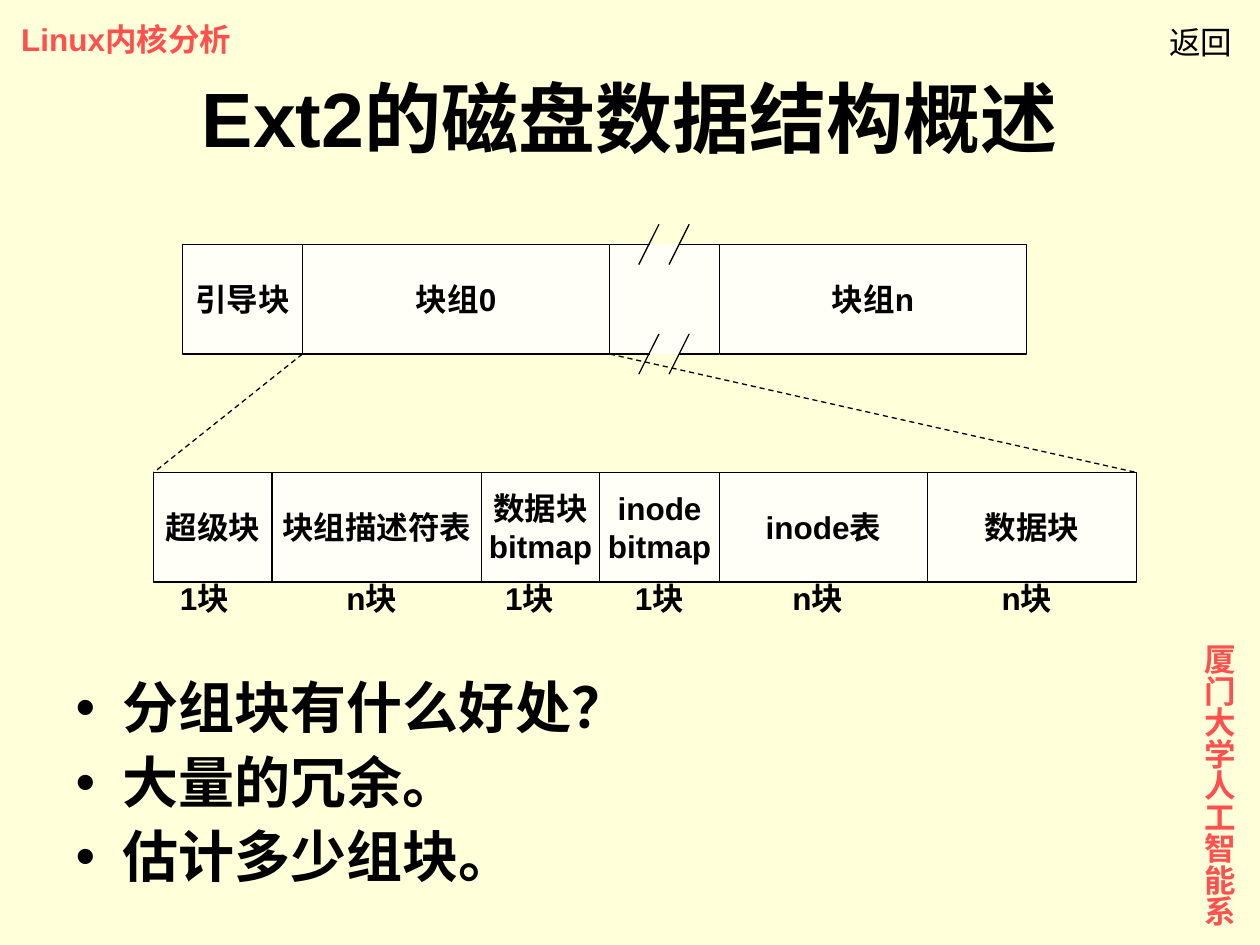
from itertools import pairwise, product

from pptx import Presentation
from pptx.dml.color import RGBColor as RGB
from pptx.enum.dml import MSO_LINE as Dash
from pptx.enum.shapes import MSO_CONNECTOR as Conn, MSO_SHAPE as Geo
from pptx.enum.text import MSO_ANCHOR as Anchor, MSO_AUTO_SIZE as Auto, PP_ALIGN as Align
from pptx.oxml.ns import qn
from pptx.util import Inches, Pt

HUES = {"back": "FFFFD9", "block": "FFFFF7", "ink": "000000", "brand": "FF5050"}

# Disk row and the detail row of block group 0: edges, top and shared height
DISK_X = [1.45, 2.4, 4.84, 5.71, 8.15]
DISK = ["引导块", "块组0", None, "块组n"]
PART_X = [1.22, 2.16, 3.82, 4.76, 5.71, 7.36, 9.02]
PARTS = ["超级块", "块组描述符表", "数据块\nbitmap", "inode\nbitmap", "inode表", "数据块"]
SIZES = [(1.33, "1块"), (2.65, "n块"), (3.91, "1块"),
         (4.94, "1块"), (6.19, "n块"), (7.85, "n块")]
DISK_Y, PART_Y, TALL = 1.94, 3.75, 0.87
BASE_Y = DISK_Y + TALL


def hue(name):
    return RGB.from_string(HUES[name])


def style(frame, size, color="ink", bold=True, face="Arial", align=None):
    for para in frame.paragraphs:
        para.alignment = align
        font = para.font
        font.size, font.bold, font.name = Pt(size), bold, face
        font.color.rgb = hue(color)


def place(shape, x, y, w, h):
    shape.left, shape.top = Inches(x), Inches(y)
    shape.width, shape.height = Inches(w), Inches(h)


def add_note(shapes, text, x, y, w, h=0.4, **look):
    box = shapes.add_textbox(Inches(x), Inches(y), Inches(w), Inches(h))
    frame = box.text_frame
    frame.text = text
    frame.word_wrap = False
    frame.auto_size = Auto.SHAPE_TO_FIT_TEXT
    style(frame, 18, **look)
    return frame


def add_block(shapes, text, x, y, w):
    box = shapes.add_shape(Geo.RECTANGLE, Inches(x), Inches(y), Inches(w), Inches(TALL))
    box.shadow.inherit = False
    box.fill.solid()
    box.fill.fore_color.rgb = hue("block")
    if text is None:
        box.line.fill.background()
        return
    box.line.color.rgb = hue("ink")
    box.line.width = Pt(0.75)
    frame = box.text_frame
    frame.text = text
    frame.word_wrap = False
    frame.vertical_anchor = Anchor.MIDDLE
    style(frame, 18, align=Align.CENTER)


def add_row(shapes, texts, edges, y):
    cells = list(zip(texts, pairwise(edges)))
    # The unlabelled gap goes behind its neighbours
    for text, (left, right) in sorted(cells, key=lambda cell: cell[0] is not None):
        add_block(shapes, text, left, y, right - left)


def add_line(shapes, x1, y1, x2, y2, dash=None):
    line = shapes.add_connector(Conn.STRAIGHT, Inches(x1), Inches(y1), Inches(x2), Inches(y2))
    line.line.color.rgb = hue("ink")
    line.line.width = Pt(0.75)
    if dash:
        line.line.dash_style = dash
    props = line._element.spPr
    props.append(props.makeelement(qn("a:effectLst"), {}))


def add_break(shapes):
    # Stubs of the border, then the slashes that cut it
    for y, (x1, x2) in product((DISK_Y, BASE_Y), ((4.84, 5.16), (5.39, 5.71))):
        add_line(shapes, x1, y, x2, y)
    for y, x in product((DISK_Y, BASE_Y), (5.15, 5.39)):
        add_line(shapes, x + 0.08, y - 0.16, x - 0.08, y + 0.16)


def main():
    deck = Presentation()
    deck.slide_width, deck.slide_height = Inches(10), Inches(7.5)
    slide = deck.slides.add_slide(deck.slide_layouts[1])
    slide.background.fill.solid()
    slide.background.fill.fore_color.rgb = hue("back")
    shapes = slide.shapes

    # Running heads
    add_note(shapes, "Linux内核分析", 0.07, 0.11, 1.92, color="brand")
    side = add_note(shapes, "厦门大学人工智能系", 9.38, 5.01, 0.5, 2.35, color="brand")
    side.margin_left = side.margin_right = Inches(0.05)
    side.margin_top = side.margin_bottom = Inches(0.1)
    side._txBody.bodyPr.set("vert", "eaVert")
    add_note(shapes, "返回", 9.18, 0.13, 0.7, bold=False, face="DejaVu Sans")

    # Title
    title = shapes.title
    place(title, 0.5, 0.3, 9, 1.25)
    title.text_frame.text = "Ext2的磁盘数据结构概述"
    title.text_frame.auto_size = Auto.NONE
    title.text_frame.vertical_anchor = Anchor.MIDDLE
    style(title.text_frame, 44, align=Align.CENTER)

    # Questions
    body = slide.placeholders[1]
    place(body, 0.5, 5.35, 9, 1.87)
    frame = body.text_frame
    frame.text = "分组块有什么好处？\n大量的冗余。\n估计多少组块。"
    frame.auto_size = Auto.NONE
    style(frame, 32)
    for num, para in enumerate(frame.paragraphs):
        para.line_spacing = 0.9
        para.space_before = Pt(8 if num else 0)

    # Disk layout, with block group 0 opened up below
    chart = shapes.add_group_shape().shapes
    add_row(chart, DISK, DISK_X, DISK_Y)
    add_break(chart)
    add_line(chart, DISK_X[1], BASE_Y, PART_X[0], PART_Y, Dash.DASH)
    add_line(chart, DISK_X[2], BASE_Y, PART_X[-1], PART_Y, Dash.DASH)
    add_row(chart, PARTS, PART_X, PART_Y)
    for x, text in SIZES:
        add_note(chart, text, x, 4.55, 0.65)

    deck.save("out.pptx")


if __name__ == "__main__":
    main()
